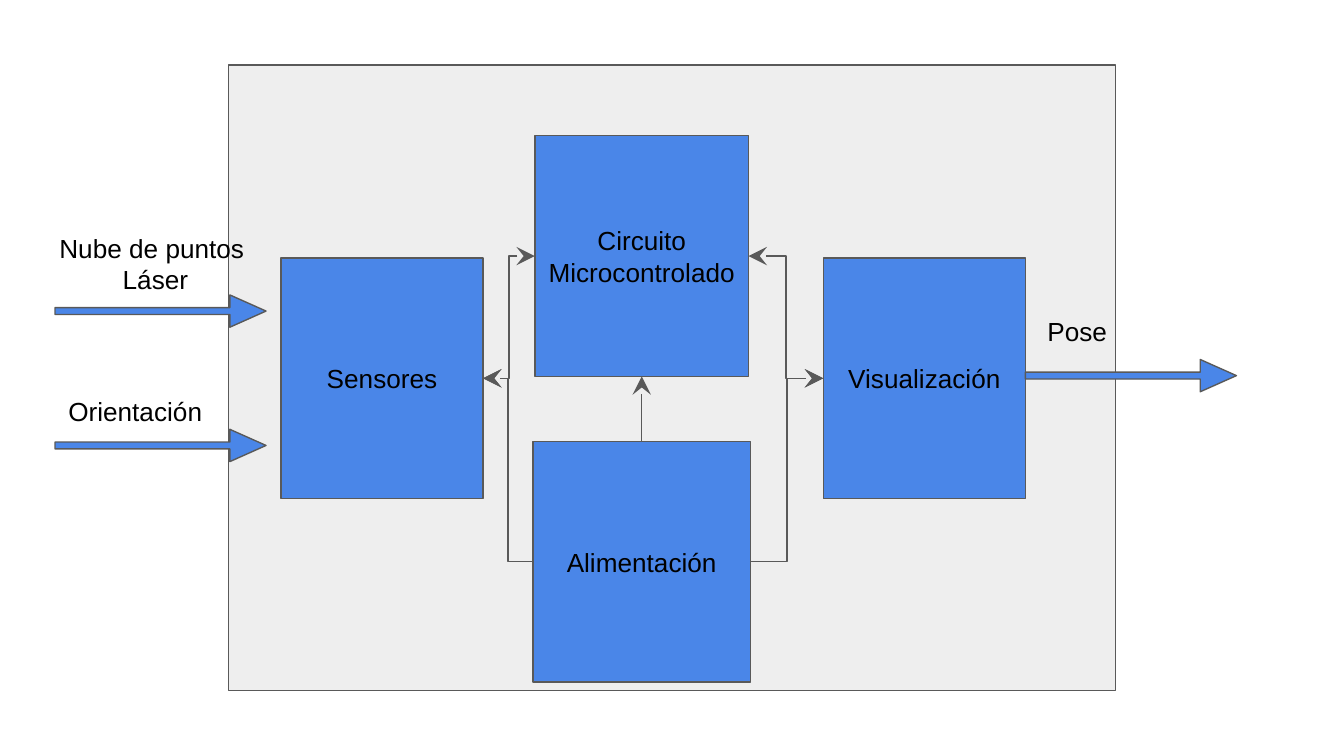
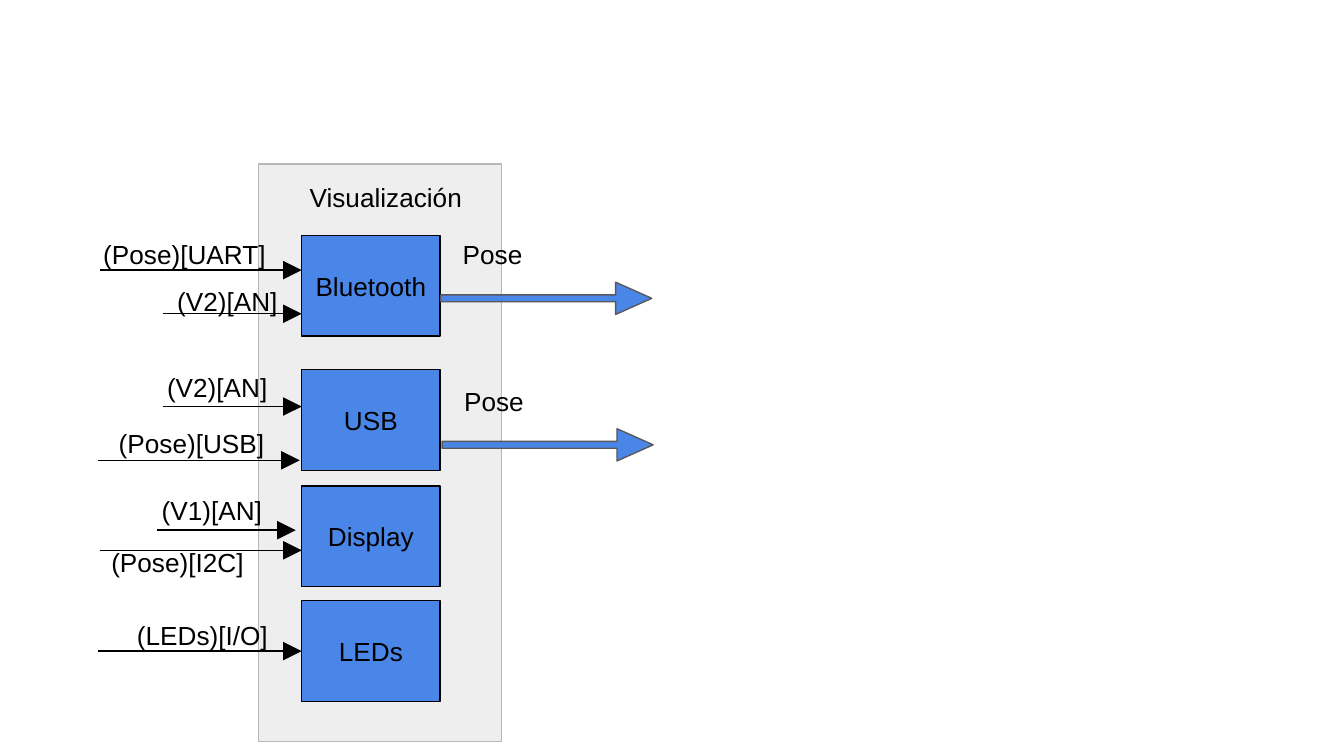
"""Build two block diagrams: the whole system and its display stage."""
from dataclasses import dataclass
from typing import Any

import lxml.etree
import pptx
import pptx.dml.color
import pptx.enum.shapes
import pptx.enum.text
import pptx.oxml.ns
import pptx.shapes.autoshape
import pptx.shapes.connector
import pptx.slide
import pptx.util

RGB = pptx.dml.color.RGBColor
FORM = pptx.enum.shapes.MSO_SHAPE
LINK = pptx.enum.shapes.MSO_CONNECTOR
ALIGN = pptx.enum.text.PP_ALIGN
ANCHOR = pptx.enum.text.MSO_ANCHOR
Shape = pptx.shapes.autoshape.Shape
Line = pptx.shapes.connector.Connector
Slide = pptx.slide.Slide

BLUE = RGB(0x4A, 0x86, 0xE8)
PALE = RGB(0xEE, 0xEE, 0xEE)
GRAY = RGB(0x59, 0x59, 0x59)
SILVER = RGB(0xB7, 0xB7, 0xB7)
BLACK = RGB(0, 0, 0)

PX = 4572
THIN = pptx.util.Pt(0.75)
PAD = 20 * PX
TOP, LEFT, BOTTOM, RIGHT = range(4)
FRAME = {"word_wrap": True, "margin_left": PAD, "margin_right": PAD,
         "margin_top": PAD, "margin_bottom": PAD}
FONT = {"name": "Arial", "size": pptx.util.Pt(14)}


@dataclass(frozen=True)
class Box:
    x: int
    y: int
    w: int
    h: int
    text: str = ""


@dataclass(frozen=True)
class Wire:
    start: int
    y: int
    end: int


@dataclass(frozen=True)
class Join:
    start: str
    out: int
    end: str
    side: int
    kind: Any = LINK.ELBOW
    head: bool = False


PANEL = Box(340, 97, 1320, 931)
BLOCKS = [
    Box(796, 202, 318, 358, "Circuito Microcontrolado"),
    Box(418, 384, 301, 358, "Sensores"),
    Box(793, 657, 324, 358, "Alimentación"),
    Box(1225, 384, 301, 358, "Visualización"),
]
JOINS = [
    Join("Alimentación", LEFT, "Sensores", RIGHT),
    Join("Alimentación", TOP, "Circuito Microcontrolado", BOTTOM, LINK.STRAIGHT),
    Join("Alimentación", RIGHT, "Visualización", LEFT),
    Join("Circuito Microcontrolado", LEFT, "Sensores", RIGHT, head=True),
    Join("Circuito Microcontrolado", RIGHT, "Visualización", LEFT, head=True),
]
STAGE = Box(385, 244, 361, 860)
PORTS = {"Bluetooth": 350, "USB": 550, "Display": 723, "LEDs": 894}
WIRES = [
    Wire(149, 402, 449), Wire(243, 467, 449), Wire(243, 605, 449),
    Wire(146, 685, 446), Wire(234, 789, 440), Wire(149, 819, 449),
]
LABELS = [
    Box(441, 250, 270, 86, "Visualización"),
    Box(134, 335, 288, 68, "(Pose)[UART]"),
    Box(244, 405, 192, 62, "(V2)[AN]"),
    Box(229, 532, 192, 62, "(V2)[AN]"),
    Box(157, 616, 264, 68, "(Pose)[USB]"),
    Box(221, 716, 200, 62, "(V1)[AN]"),
    Box(146, 793, 252, 68, "(Pose)[I2C]"),
    Box(184, 902, 238, 68, "(LEDs)[I/O]"),
]


def apply(thing: Any, values: dict[str, Any]) -> None:
    for key, value in values.items():
        setattr(thing, key, value)


def place(box: Box) -> tuple[int, ...]:
    return tuple(n * PX for n in (box.x, box.y, box.w, box.h))


def write(shape: Shape, text: str, align: Any, anchor: Any) -> None:
    frame = shape.text_frame
    apply(frame, FRAME | {"vertical_anchor": anchor, "text": text})
    for para in frame.paragraphs:
        para.alignment = align
        for run in para.runs:
            apply(run.font, FONT)
            run.font.color.rgb = BLACK


def block(slide: Slide, box: Box, fill: RGB, edge: RGB,
          form: Any = FORM.RECTANGLE) -> Shape:
    shape = slide.shapes.add_shape(form, *place(box))
    shape.shadow.inherit = False
    shape.fill.solid()
    shape.fill.fore_color.rgb = fill
    shape.line.color.rgb = edge
    shape.line.width = THIN
    if box.text:
        write(shape, box.text, ALIGN.CENTER, ANCHOR.MIDDLE)
    return shape


def label(slide: Slide, box: Box, align: Any = ALIGN.LEFT) -> None:
    write(slide.shapes.add_textbox(*place(box)), box.text, align, ANCHOR.TOP)


def arrow(slide: Slide, x: int, y: int) -> None:
    shape = block(slide, Box(x, y, 314, 48), BLUE, GRAY, FORM.RIGHT_ARROW)
    shape.adjustments[0] = 0.21
    shape.adjustments[1] = 1.12


def pose(slide: Slide, x: int, y: int) -> None:
    arrow(slide, x, y)
    label(slide, Box(x + 13, y - 85, 288, 86, "Pose"))


def ink(line: Line, color: RGB, tips: dict[str, str]) -> None:
    line.line.color.rgb = color
    line.line.width = THIN
    props = line._element.spPr
    name = pptx.oxml.ns.qn
    for end, kind in tips.items():
        lxml.etree.SubElement(props.find(name("a:ln")), name(f"a:{end}"),
                              type=kind, w="lg", len="lg")
    lxml.etree.SubElement(props, name("a:effectLst"))


def wire(slide: Slide, item: Wire) -> Line:
    y = item.y * PX
    line = slide.shapes.add_connector(
        LINK.STRAIGHT, item.start * PX, y, item.end * PX, y)
    ink(line, BLACK, {"tailEnd": "triangle"})
    return line


def join(slide: Slide, item: Join, shapes: dict[str, Shape]) -> None:
    line = slide.shapes.add_connector(item.kind, 0, 0, 0, 0)
    line.begin_connect(shapes[item.start], item.out)
    line.end_connect(shapes[item.end], item.side)
    tips = {"headEnd": "stealth"} if item.head else {}
    ink(line, GRAY, tips | {"tailEnd": "stealth"})


def system(slide: Slide) -> None:
    block(slide, PANEL, PALE, GRAY)
    shapes = {box.text: block(slide, box, BLUE, GRAY) for box in BLOCKS}
    for item in JOINS:
        join(slide, item, shapes)
    for y in (439, 639):
        arrow(slide, 82, y)
    label(slide, Box(-8, 326, 468, 86, "Nube de puntos\n Láser"), ALIGN.CENTER)
    label(slide, Box(82, 568, 288, 86, "Orientación"))
    pose(slide, 1526, 535)


def display(slide: Slide) -> None:
    block(slide, STAGE, PALE, SILVER)
    shapes = {name: block(slide, Box(449, y, 206, 150, name), BLUE, BLACK)
              for name, y in PORTS.items()}
    for item in WIRES:
        wire(slide, item)
    wire(slide, Wire(146, 969, 449)).end_connect(shapes["LEDs"], LEFT)
    pose(slide, 656, 420)
    pose(slide, 658, 638)
    for box in LABELS:
        label(slide, box)


def main() -> None:
    deck = pptx.Presentation()
    apply(deck, {"slide_width": 2000 * PX, "slide_height": 1125 * PX})
    for draw in (system, display):
        draw(deck.slides.add_slide(deck.slide_layouts[6]))
    deck.save("out.pptx")


if __name__ == "__main__":
    main()
